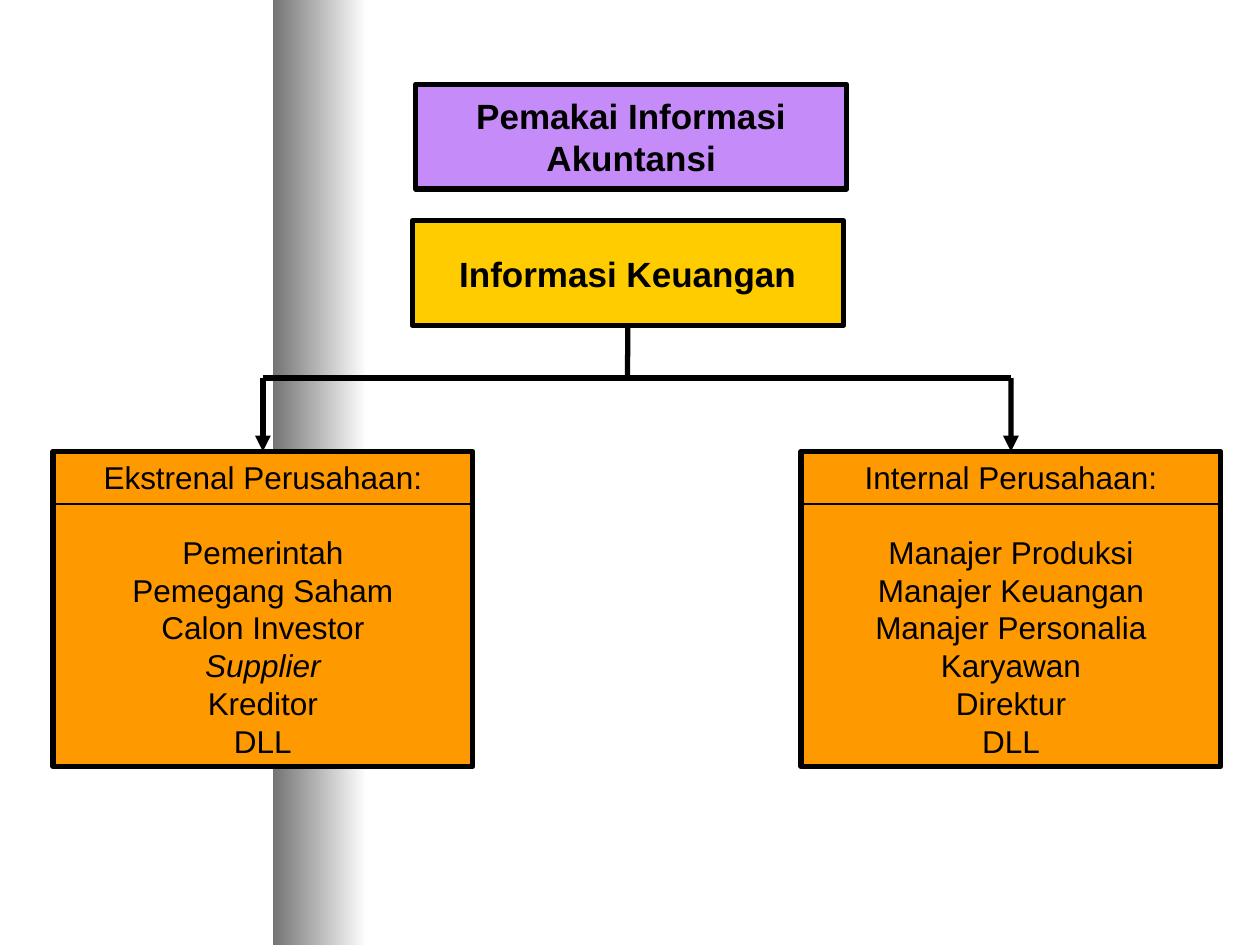
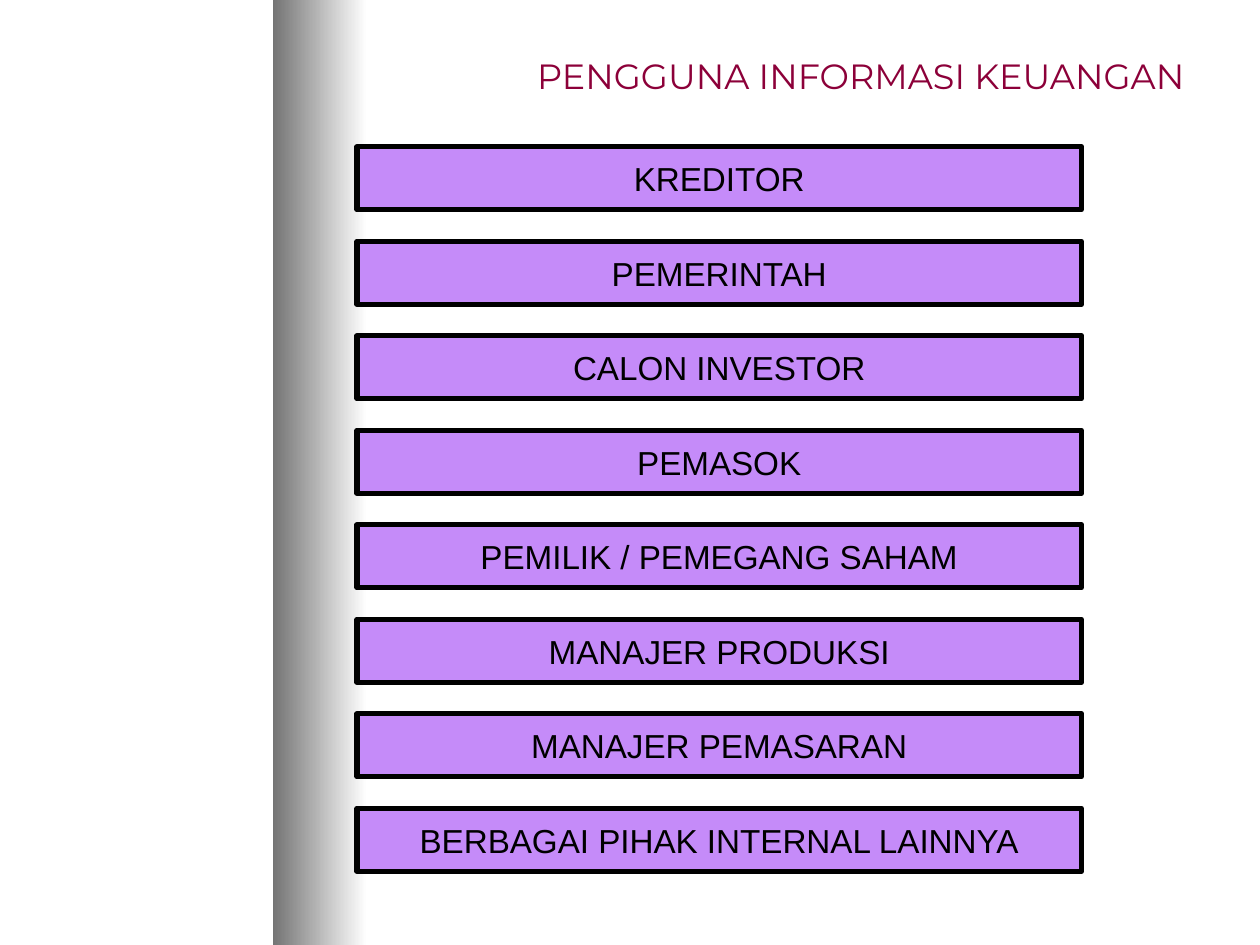
"""Build two slides on the users of accounting information."""
from lxml import etree
from pptx import Presentation
from pptx.dml.color import RGBColor
from pptx.enum.shapes import MSO_CONNECTOR, MSO_SHAPE
from pptx.enum.text import MSO_ANCHOR, PP_ALIGN
from pptx.oxml.ns import qn
from pptx.util import Cm, Pt

RECT = MSO_SHAPE.RECTANGLE
LINE = MSO_CONNECTOR.STRAIGHT
MID = MSO_ANCHOR.MIDDLE
CENTER, RIGHT = PP_ALIGN.CENTER, PP_ALIGN.RIGHT
TOP, BOTTOM = 0, 2

HUES = {
    "ink": "000000",
    "grape": "C58BF9",
    "gold": "FFCC00",
    "orange": "FF9900",
    "wine": "8C0039",
    "gray": "747474",
    "white": "FFFFFF",
}
RGB = {name: RGBColor.from_string(code) for name, code in HUES.items()}


def add_text(slide, text, spot, fill=None, size=20, font="Arial", hue="ink",
             bold=False, align=CENTER, slant=(), gap=0):
    spot = [Cm(n) for n in spot]
    if fill:
        shape = slide.shapes.add_shape(RECT, *spot)
        shape.shadow.inherit = False
        shape.fill.solid()
        shape.fill.fore_color.rgb = RGB[fill]
        shape.line.color.rgb = RGB["ink"]
        shape.line.width = Pt(3)
    else:
        shape = slide.shapes.add_textbox(*spot)
    frame = shape.text_frame
    frame.word_wrap = True
    frame.vertical_anchor = MID
    frame.text = text
    for i, para in enumerate(frame.paragraphs):
        para.alignment = align
        if i == 1 and gap:
            para.space_before = Pt(gap)
        for run in para.runs:
            run.font.name = font
            run.font.size = Pt(size)
            run.font.bold = bold
            run.font.italic = run.text in slant
            run.font.color.rgb = RGB[hue]
    return shape


def add_line(slide, x1, y1, x2, y2, width=3, arrow=False):
    line = slide.shapes.add_connector(LINE, Cm(x1), Cm(y1), Cm(x2), Cm(y2))
    line.line.color.rgb = RGB["ink"]
    line.line.width = Pt(width)
    if arrow:
        etree.SubElement(line.line._get_or_add_ln(), qn("a:tailEnd"), type="triangle")
    etree.SubElement(line._element.spPr, qn("a:effectLst"))
    return line


deck = Presentation()
deck.slide_width, deck.slide_height = Cm(25.4), Cm(19.05)
blank = deck.slide_layouts[6]
chart, users = [deck.slides.add_slide(blank) for _ in range(2)]

for slide in (chart, users):
    band = slide.shapes.add_shape(RECT, Cm(5.5), 0, Cm(1.9), deck.slide_height)
    band.shadow.inherit = False
    band.line.fill.background()
    band.fill.gradient()
    band.fill.gradient_angle = 0
    for stop, hue in zip(band.fill.gradient_stops, ("gray", "white")):
        stop.color.rgb = RGB[hue]

add_text(chart, "Pemakai Informasi\nAkuntansi", (8.38, 1.7, 8.69, 2.11),
         fill="grape", bold=True)
root = add_text(chart, "Informasi Keuangan", (8.31, 4.45, 8.69, 2.11),
                fill="gold", bold=True)

GROUPS = [
    (1.07, ["Ekstrenal Perusahaan:", "Pemerintah", "Pemegang Saham",
            "Calon Investor", "Supplier", "Kreditor", "DLL"]),
    (16.15, ["Internal Perusahaan:", "Manajer Produksi", "Manajer Keuangan",
             "Manajer Personalia", "Karyawan", "Direktur", "DLL"]),
]
wide, rail, rule = 8.46, 7.62, 10.16
mids = [left + wide / 2 for left, _ in GROUPS]

stem = add_line(chart, 12.65, 6.56, 12.65, rail)
stem.begin_connect(root, BOTTOM)
add_line(chart, mids[0], rail, mids[1], rail)
for (left, names), mid in zip(GROUPS, mids):
    group = add_text(chart, "\n".join(names), (left, 9.1, wide, 6.35),
                     fill="orange", size=18, slant=("Supplier",), gap=21)
    drop = add_line(chart, mid, rail, mid, 9.1, arrow=True)
    drop.end_connect(group, TOP)
    add_line(chart, left, rule, left + wide, rule, width=0.75)

add_text(users, "PENGGUNA INFORMASI KEUANGAN", (1.27, 0.89, 22.86, 1.27),
         font="Montserrat", hue="wine", align=RIGHT)
NAMES = ["KREDITOR", "PEMERINTAH", "CALON INVESTOR", "PEMASOK",
         "PEMILIK / PEMEGANG SAHAM", "MANAJER PRODUKSI", "MANAJER PEMASARAN",
         "BERBAGAI PIHAK INTERNAL LAINNYA"]
for i, name in enumerate(NAMES):
    add_text(users, name, (7.2, 2.96 + 1.905 * i, 14.6, 1.27), fill="grape", size=19)

deck.save("out.pptx")
